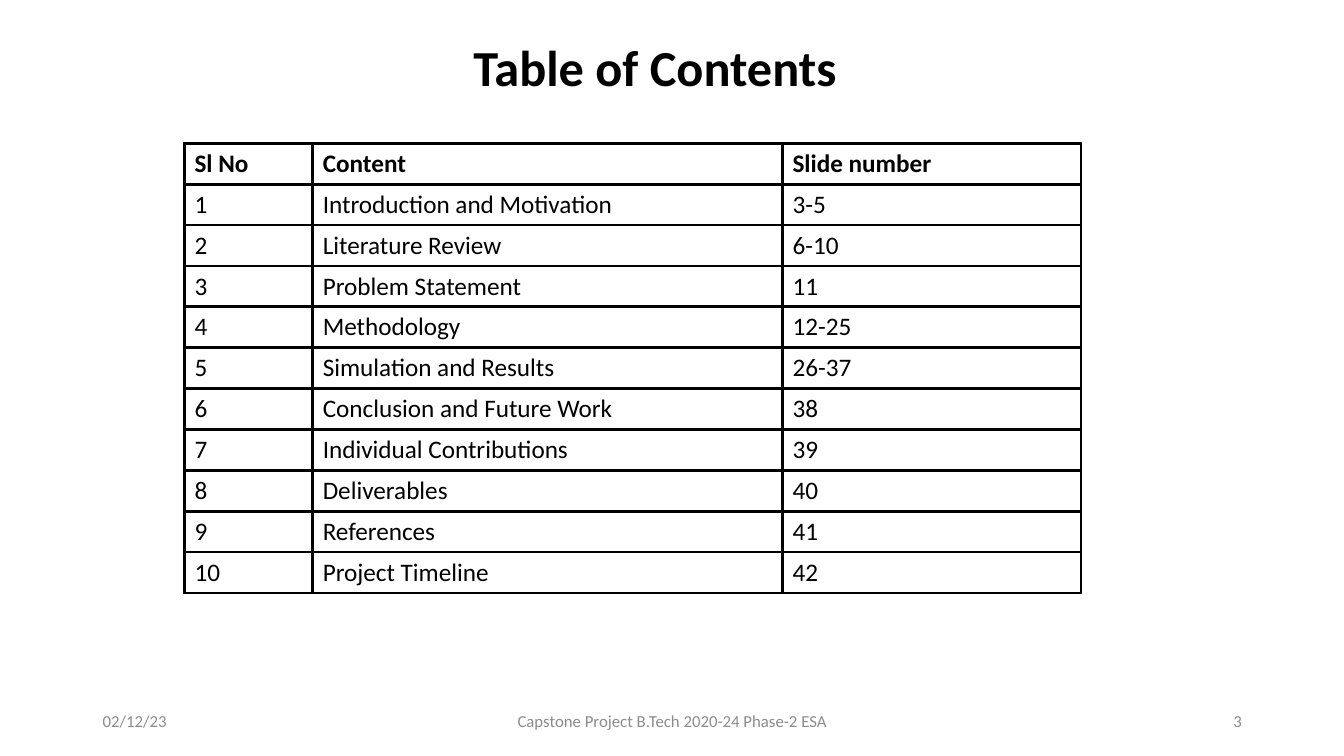
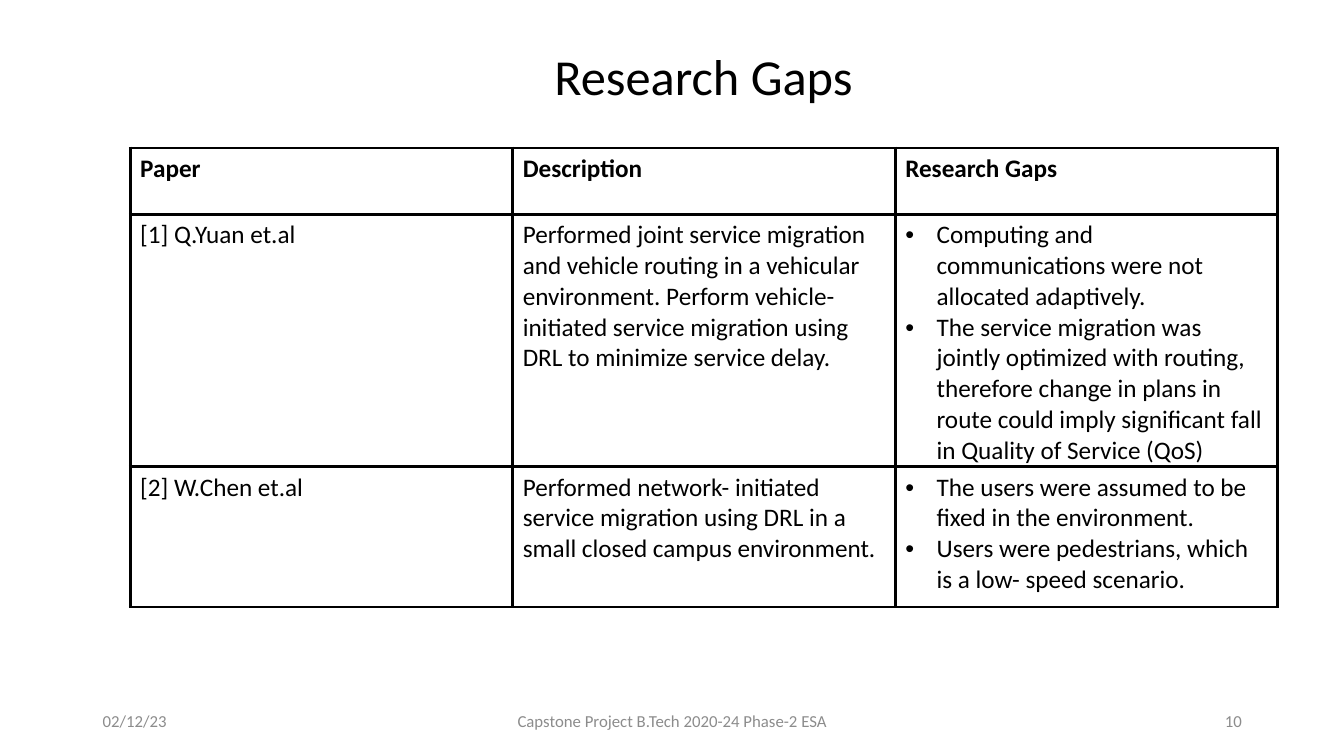
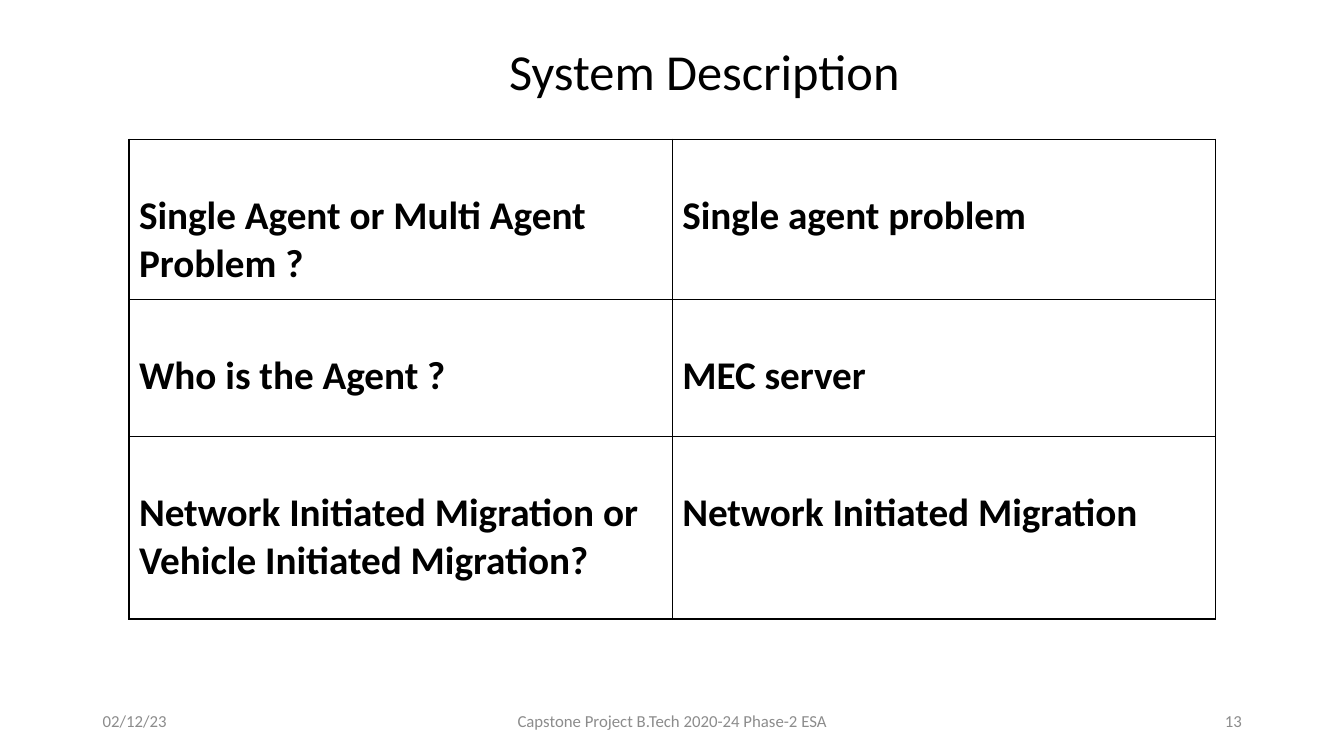
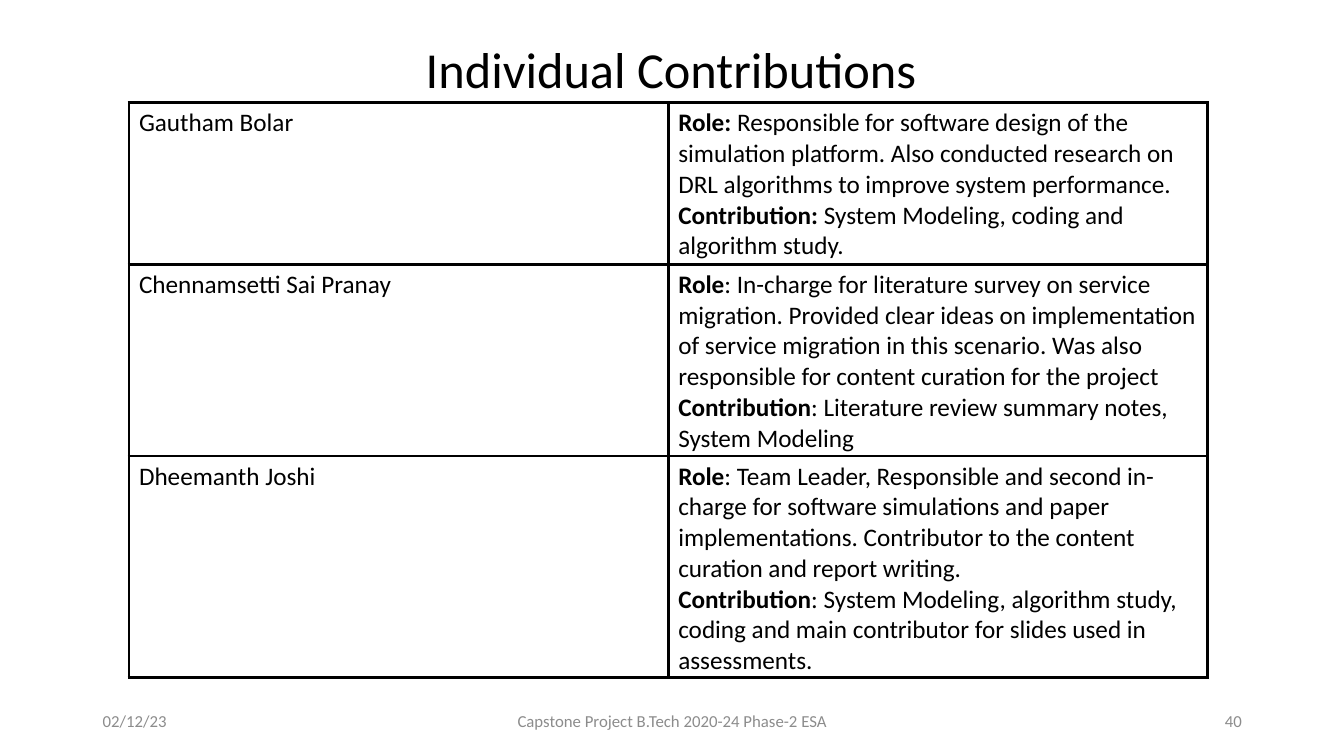
from dataclasses import dataclass

from lxml.etree import SubElement
from pptx import Presentation
from pptx.dml.color import RGBColor
from pptx.enum.text import MSO_ANCHOR, MSO_AUTO_SIZE, PP_ALIGN
from pptx.oxml.ns import qn
from pptx.util import Cm, Pt

BLACK = RGBColor(0x00, 0x00, 0x00)
WHITE = RGBColor(0xFF, 0xFF, 0xFF)
GREY = RGBColor(0x8C, 0x8C, 0x8C)
FONT = "Calibri"
TITLE_ONLY = 5
DATE = "02/12/23"
PROJECT = "Capstone Project B.Tech 2020-24 Phase-2 ESA"
CELL_MARGIN = 0.13


@dataclass
class Para:
    """A paragraph with an optional bold lead and an optional bullet."""
    text: str
    lead: str = ""
    bullet: bool = False


CONTENTS = [("Sl No", "Content", "Slide number")] + [
    (str(number), topic, pages)
    for number, (topic, pages) in enumerate([
        ("Introduction and Motivation", "3-5"),
        ("Literature Review", "6-10"),
        ("Problem Statement", "11"),
        ("Methodology", "12-25"),
        ("Simulation and Results", "26-37"),
        ("Conclusion and Future Work", "38"),
        ("Individual Contributions", "39"),
        ("Deliverables", "40"),
        ("References", "41"),
        ("Project Timeline", "42"),
    ], start=1)
]

RESEARCH_GAPS = [
    ("Paper", "Description", "Research Gaps"),
    ("[1] Q.Yuan et.al",
     "Performed joint service migration and vehicle routing in a vehicular environment. "
     "Perform vehicle-initiated service migration using DRL to minimize service delay.",
     [Para("Computing and communications were not allocated adaptively.", bullet=True),
      Para("The service migration was jointly optimized with routing, therefore change in "
           "plans in route could imply significant fall in Quality of Service (QoS)",
           bullet=True)]),
    ("[2] W.Chen et.al",
     "Performed network- initiated service migration using DRL in a small closed campus "
     "environment.",
     [Para("The users were assumed to be fixed in the environment.", bullet=True),
      Para("Users were pedestrians, which is a low- speed scenario.", bullet=True)]),
]

SYSTEM = [
    ("Single Agent or Multi Agent Problem ?", "Single agent problem"),
    ("Who is the Agent ?", "MEC server"),
    ("Network Initiated Migration or Vehicle Initiated Migration?",
     "Network Initiated Migration"),
]

CONTRIBUTIONS = [
    ("Gautham Bolar",
     [Para("Responsible for software design of the simulation platform. Also conducted "
           "research on DRL algorithms to improve system performance.", "Role: "),
      Para("System Modeling, coding and algorithm study.", "Contribution: ")]),
    ("Chennamsetti Sai Pranay",
     [Para(": In-charge for literature survey on service migration. Provided clear ideas on "
           "implementation of service migration in this scenario. Was also responsible for "
           "content curation for the project", "Role"),
      Para(": Literature review summary notes, System Modeling", "Contribution")]),
    ("Dheemanth Joshi",
     [Para(": Team Leader, Responsible and second in-charge for software simulations and "
           "paper implementations. Contributor to the content curation and report writing.",
           "Role"),
      Para(": System Modeling, algorithm study, coding and main contributor for slides used "
           "in assessments.", "Contribution")]),
]


def write_text(frame, content, size=18, bold=False, color=BLACK,
               align=PP_ALIGN.LEFT, line_spacing=None):
    """Fill a text frame with a string or a list of Para."""
    paras = [Para(content)] if isinstance(content, str) else content
    for index, para in enumerate(paras):
        paragraph = frame.add_paragraph() if index else frame.paragraphs[0]
        paragraph.alignment = align
        paragraph.line_spacing = line_spacing
        if para.bullet:
            add_bullet(paragraph)
        for text, is_bold in ((para.lead, True), (para.text, bold)):
            if text:
                run = paragraph.add_run()
                run.text = text
                run.font.name = FONT
                run.font.size = Pt(size)
                run.font.bold = is_bold
                run.font.color.rgb = color


def add_bullet(paragraph):
    """Give a paragraph a hanging round bullet."""
    properties = paragraph._p.get_or_add_pPr()
    indent = Cm(0.79)
    properties.set("marL", str(indent))
    properties.set("indent", str(-indent))
    SubElement(properties, qn("a:buFont"), typeface="Arial")
    SubElement(properties, qn("a:buChar"), char="•")


def add_borders(cell, width):
    """Draw the four black borders of a cell."""
    properties = cell._tc.get_or_add_tcPr()
    for side in ("lnL", "lnR", "lnT", "lnB"):
        border = SubElement(properties, qn(f"a:{side}"), w=str(Pt(width)))
        fill = SubElement(border, qn("a:solidFill"))
        SubElement(fill, qn("a:srgbClr"), val=str(BLACK))


def place_title(slide, text, box, inset=0.25, **text_format):
    """Move the title placeholder to its box and write it."""
    title = slide.shapes.title
    title.left, title.top, title.width, title.height = map(Cm, box)
    frame = title.text_frame
    frame.auto_size = MSO_AUTO_SIZE.NONE
    frame.vertical_anchor = MSO_ANCHOR.MIDDLE
    frame.margin_left = Cm(inset)
    write_text(frame, text, size=36, align=PP_ALIGN.CENTER, **text_format)


def add_footer(slide, number):
    """Add the date, the project name and the slide number."""
    for text, left, width, align in (
        (DATE, 2.34, 7.62, PP_ALIGN.LEFT),
        (PROJECT, 11.23, 11.43, PP_ALIGN.CENTER),
        (str(number), 23.93, 7.62, PP_ALIGN.RIGHT),
    ):
        footer = slide.shapes.add_textbox(Cm(left), Cm(17.65), Cm(width), Cm(1.02))
        frame = footer.text_frame
        frame.word_wrap = True
        frame.vertical_anchor = MSO_ANCHOR.MIDDLE
        write_text(frame, text, size=12, color=GREY, align=align)


def add_grid(slide, rows, origin, widths, heights, size=18, bold_rows=0,
             border=2.25, margin_top=CELL_MARGIN):
    """Add a bordered white table at its origin."""
    left, top = origin
    table = slide.shapes.add_table(
        len(rows), len(widths), Cm(left), Cm(top), Cm(sum(widths)), Cm(sum(heights))).table
    table.first_row = False
    table.horz_banding = False
    for column, width in zip(table.columns, widths):
        column.width = Cm(width)
    for row_index, (contents, height) in enumerate(zip(rows, heights)):
        table.rows[row_index].height = Cm(height)
        for column_index, content in enumerate(contents):
            cell = table.cell(row_index, column_index)
            add_borders(cell, border)
            cell.fill.solid()
            cell.fill.fore_color.rgb = WHITE
            cell.margin_top = Cm(margin_top)
            write_text(cell.text_frame, content, size=size, bold=row_index < bold_rows)


def add_slide(deck, number):
    """Add a title-only slide with its footer."""
    slide = deck.slides.add_slide(deck.slide_layouts[TITLE_ONLY])
    add_footer(slide, number)
    return slide


def main():
    """Build the four slides."""
    deck = Presentation()
    deck.slide_width, deck.slide_height = Cm(33.87), Cm(19.05)

    contents = add_slide(deck, 3)
    place_title(contents, "Table of Contents", (1.63, -0.08, 29.21, 3.68),
                inset=0.8, bold=True, line_spacing=0.9)
    add_grid(contents, CONTENTS, (4.65, 3.61), [3.23, 11.84, 7.52],
             [1.03] * len(CONTENTS), bold_rows=1)

    gaps = add_slide(deck, 10)
    place_title(gaps, "Research Gaps", (5.38, 0.99, 24.71, 1.8))
    add_grid(gaps, RESEARCH_GAPS, (3.28, 3.73), [9.64] * 3, [1.68, 6.35, 3.53], bold_rows=1)

    system = add_slide(deck, 13)
    place_title(system, "System Description ", (3.84, 0.86, 28.12, 1.8))
    add_grid(system, SYSTEM, (3.25, 3.51), [13.69] * 2, [4.04, 3.45, 4.6],
             size=28, bold_rows=len(SYSTEM), border=1, margin_top=1.33)

    contributions = add_slide(deck, 40)
    place_title(contributions, "Individual Contributions", (4.14, 0.81, 25.55, 1.8))
    add_grid(contributions, CONTRIBUTIONS, (3.25, 2.59), [13.59] * 2, [4.06, 4.83, 5.56])

    deck.save("out.pptx")


if __name__ == "__main__":
    main()
